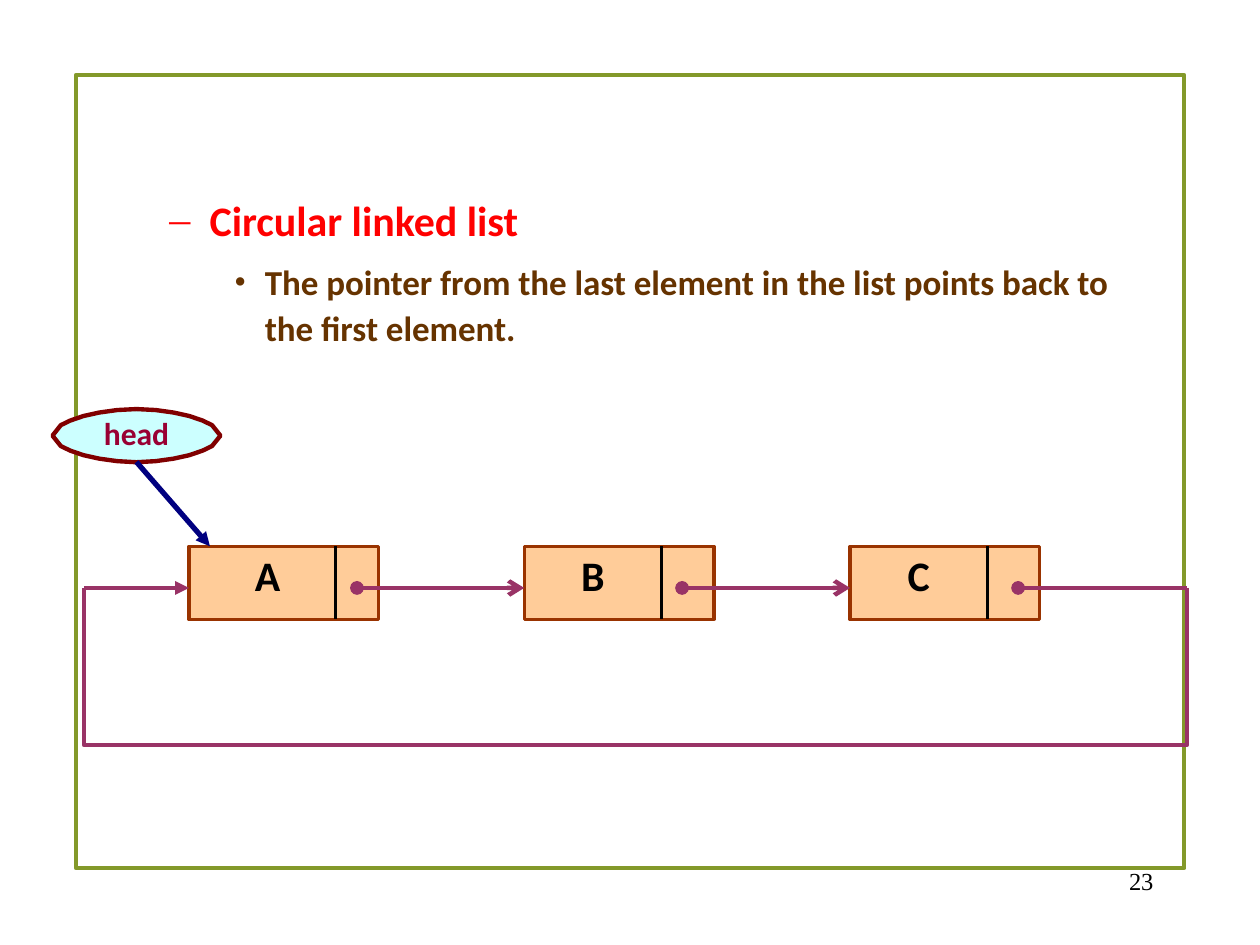
from dataclasses import dataclass

from lxml.etree import SubElement
from pptx import Presentation
from pptx.dml.color import RGBColor
from pptx.enum.shapes import MSO_CONNECTOR, MSO_SHAPE
from pptx.enum.text import MSO_ANCHOR, PP_ALIGN
from pptx.oxml.ns import qn
from pptx.util import Pt


@dataclass(frozen=True)
class Theme:
    frame: str = "83992A"
    node_fill: str = "FFCC99"
    node_line: str = "993300"
    link: str = "993366"
    head_fill: str = "CCFFFF"
    head_line: str = "800000"
    head_text: str = "990033"
    head_arrow: str = "000080"
    title: str = "FF0000"
    body: str = "663300"
    black: str = "000000"
    font: str = "Calibri"
    number_font: str = "Times New Roman"
    title_size: float = 12
    body_size: float = 10
    head_size: float = 9
    number_size: float = 7


def write_text(paragraph, text, *, size, color, font=Theme.font, bold=True,
               align=PP_ALIGN.LEFT, bullet=None, margin=0, indent=0,
               before=0, spacing=1.0):
    paragraph.alignment = align
    paragraph.space_before = Pt(before)
    paragraph.line_spacing = spacing
    if bullet:
        properties = paragraph._p.get_or_add_pPr()
        properties.set("marL", str(Pt(margin)))
        properties.set("indent", str(Pt(indent)))
        bullet_color = SubElement(properties, qn("a:buClr"))
        SubElement(bullet_color, qn("a:srgbClr"), val=color)
        SubElement(properties, qn("a:buFont"), typeface=Theme.number_font)
        SubElement(properties, qn("a:buChar"), char=bullet)
    run = paragraph.add_run()
    run.text = text
    run.font.name = font
    run.font.size = Pt(size)
    run.font.bold = bold
    run.font.color.rgb = RGBColor.from_string(color)


class SlideBuilder:
    def __init__(self, slide, theme):
        self.slide = slide
        self.theme = theme

    def paint(self, shape, line, width, fill=None):
        shape.shadow.inherit = False
        if fill:
            shape.fill.solid()
            shape.fill.fore_color.rgb = RGBColor.from_string(fill)
        else:
            shape.fill.background()
        shape.line.color.rgb = RGBColor.from_string(line)
        shape.line.width = Pt(width)
        return shape

    def set_frame(self, shape, left=0, top=0, right=0, bottom=0,
                  anchor=MSO_ANCHOR.TOP, wrap=True):
        frame = shape.text_frame
        frame.margin_left, frame.margin_top = Pt(left), Pt(top)
        frame.margin_right, frame.margin_bottom = Pt(right), Pt(bottom)
        frame.vertical_anchor = anchor
        frame.word_wrap = wrap
        return frame

    def rectangle(self, left, top, width, height, line, line_width, fill=None):
        shape = self.slide.shapes.add_shape(
            MSO_SHAPE.RECTANGLE, Pt(left), Pt(top), Pt(width), Pt(height))
        return self.paint(shape, line, line_width, fill)

    def text_box(self, left, top, width, height, inset_top=0, wrap=True):
        shape = self.slide.shapes.add_textbox(Pt(left), Pt(top), Pt(width), Pt(height))
        return self.set_frame(shape, top=inset_top, wrap=wrap)

    def outline(self, contours, line, width, fill=None, close=False):
        contours = [[(Pt(x), Pt(y)) for x, y in contour] for contour in contours]
        builder = self.slide.shapes.build_freeform(*contours[0][0])
        for number, contour in enumerate(contours):
            if number:
                builder.move_to(*contour[0])
            builder.add_line_segments(contour[1:], close=close)
        return self.paint(builder.convert_to_shape(), line, width, fill)

    def arrow(self, start, end, color, width, head=None, tail=None):
        connector = self.slide.shapes.add_connector(
            MSO_CONNECTOR.STRAIGHT, *(Pt(value) for value in (*start, *end)))
        connector.line.color.rgb = RGBColor.from_string(color)
        connector.line.width = Pt(width)
        line = connector.line._get_or_add_ln()
        for tag, kind in (("a:headEnd", head), ("a:tailEnd", tail)):
            if kind:
                SubElement(line, qn(tag), type=kind, w="sm", len="sm")
        SubElement(connector._element.spPr, qn("a:effectLst"))

    def node(self, letter, left, top, width, height, divider, inset=0):
        theme = self.theme
        shape = self.rectangle(left, top, width, height, theme.node_line, 1, theme.node_fill)
        frame = self.set_frame(shape, left=inset, top=0.9, right=width - divider)
        write_text(frame.paragraphs[0], letter, size=theme.title_size,
                   color=theme.black, align=PP_ALIGN.CENTER)

    def head(self, text, center_x, center_y):
        theme = self.theme
        quarter = [(0, 7.6), (5.5, 7.3), (10.6, 6.6), (15.1, 5.6),
                   (18.9, 4.3), (21.6, 3), (24, 0)]
        half = quarter + [(x, -y) for x, y in reversed(quarter[:-1])]
        ring = half + [(-x, y) for x, y in reversed(half[1:-1])]
        contour = [(center_x + x, center_y + y) for x, y in ring]
        shape = self.outline([contour], theme.head_line, 1.25, theme.head_fill, close=True)
        frame = self.set_frame(shape, bottom=1.8, anchor=MSO_ANCHOR.MIDDLE)
        write_text(frame.paragraphs[0], text, size=theme.head_size,
                   color=theme.head_text, align=PP_ALIGN.CENTER)


def main():
    theme = Theme()
    presentation = Presentation()
    presentation.slide_width, presentation.slide_height = Pt(360), Pt(270)
    slide = presentation.slides.add_slide(presentation.slide_layouts[6])
    builder = SlideBuilder(slide, theme)

    builder.rectangle(21.7, 21.5, 316.7, 226.6, theme.frame, 1.25)

    frame = builder.text_box(28.9, 49.1, 290.5, 56, inset_top=6.5)
    write_text(frame.paragraphs[0], "Circular linked list", size=theme.title_size,
               color=theme.title, bullet="–", margin=31, indent=-11.5)
    write_text(frame.add_paragraph(),
               "The pointer from the last element in the list points back to  the first element.",
               size=theme.body_size, color=theme.body, bullet="•",
               margin=46.8, indent=-8.8, before=3.3, spacing=1.1)

    node_top, node_width, node_height, link_y = 156.1, 54.2, 20.9, 168
    nodes = [("A", 54, 41.9, 3), ("B", 149.8, 39.2, 0), ("C", 242.9, 39.2, 0)]
    for letter, left, divider, inset in nodes:
        builder.node(letter, left, node_top, node_width, node_height, divider, inset)

    for start, end in ((102, 149.8), (194.9, 242.9)):
        builder.arrow((start, link_y), (end, link_y), theme.link, 1.25,
                      head="oval", tail="arrow")

    dividers = [[(left + divider, node_top), (left + divider, node_top + node_height)]
                for _, left, divider, _ in nodes]
    builder.outline(dividers, theme.black, 0.75)

    loop_left, loop_right, loop_bottom = 24, 339.1, 212.9
    builder.arrow((290.9, link_y), (loop_right, link_y), theme.link, 1.25, head="oval")
    corners = [(loop_right, link_y), (loop_right, loop_bottom),
               (loop_left, loop_bottom), (loop_left, link_y)]
    builder.outline([corners], theme.link, 1.25)
    builder.arrow((loop_left, link_y), (54, link_y), theme.link, 1.25, tail="triangle")

    builder.head("head", 39, 124.5)
    builder.arrow((39, 132), (60, node_top), theme.head_arrow, 1.5, tail="triangle")

    frame = builder.text_box(322.6, 246.8, 9, 10, inset_top=0.7, wrap=False)
    write_text(frame.paragraphs[0], "23", size=theme.number_size, color=theme.black,
               font=theme.number_font, bold=False)

    presentation.save("out.pptx")


if __name__ == "__main__":
    main()
